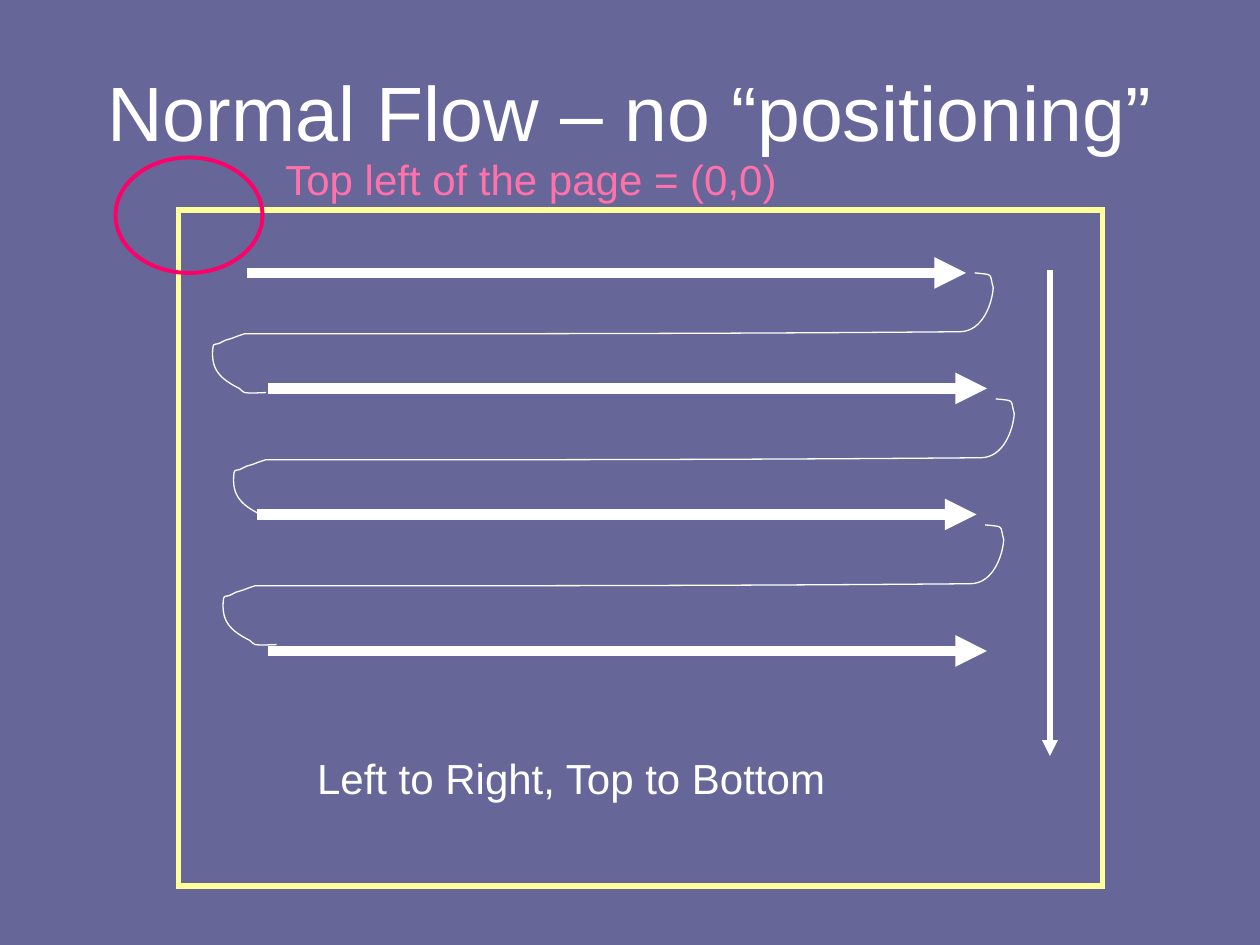
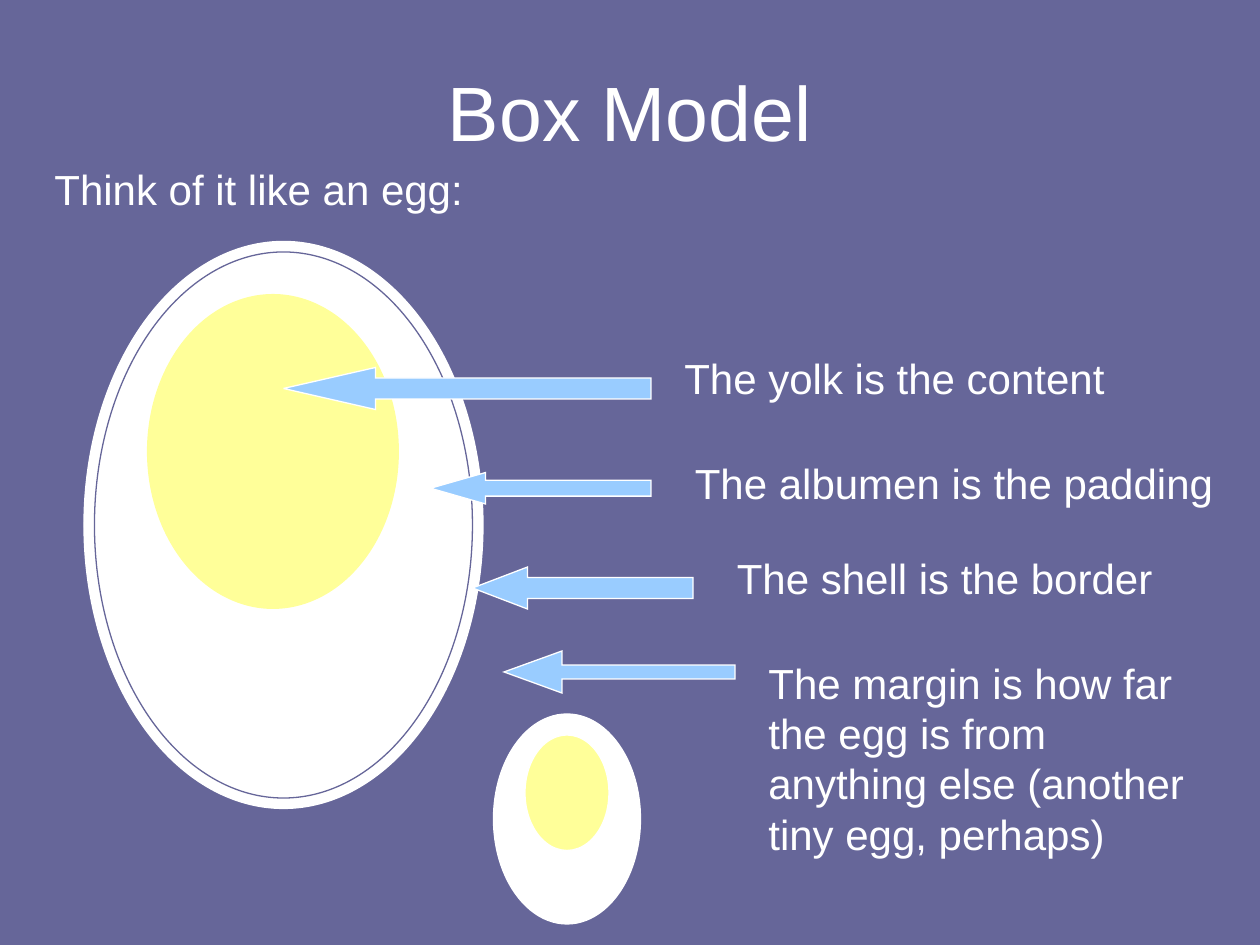
from dataclasses import dataclass
from typing import Any, Optional

from lxml.etree import SubElement
from pptx import Presentation
from pptx.dml.color import RGBColor
from pptx.enum.shapes import MSO_CONNECTOR as Link, MSO_SHAPE as Preset
from pptx.enum.text import MSO_ANCHOR as Anchor, MSO_AUTO_SIZE as Fit, PP_ALIGN as Align
from pptx.oxml.ns import qn
from pptx.util import Emu, Pt

EMU_PER_PX = 7620

SLATE, WHITE, YOLK = "666699", "FFFFFF", "FFFF99"
SKY, CRIMSON, PINK = "99CCFF", "FE0067", "FF71AA"

HAIRLINE = 0.75
TITLE_ONLY = 5


@dataclass(frozen=True)
class Box:
    left: int
    top: int
    width: int
    height: int


@dataclass(frozen=True)
class Figure:
    box: Box
    preset: Any = Preset.OVAL
    fill: Optional[str] = None
    outline: Optional[str] = WHITE
    weight: float = HAIRLINE
    adjustments: tuple[float, ...] = ()


@dataclass(frozen=True)
class Caption:
    text: str
    box: Box
    color: str = WHITE


@dataclass(frozen=True)
class Arrow:
    start: tuple[int, int]
    end: tuple[int, int]
    weight: float


TITLE_BOX = Box(90, 30, 1020, 150)
INSETS = dict(margin_left=12, margin_right=12, margin_top=6, margin_bottom=6)

PAGE = Figure(Box(170, 200, 880, 644), Preset.RECTANGLE, outline=YOLK, weight=3)
PAGE_INSETS = INSETS | dict(margin_left=132, margin_bottom=79)
ORIGIN_RING = Figure(Box(110, 150, 140, 110), outline=CRIMSON, weight=2.25)
ORIGIN_NOTE = Caption("Top left of the page = (0,0)", Box(260, 140, 720, 60), PINK)

READING_WIDTH = 680
READING_STARTS = [(240, 260), (250, 490), (260, 620), (260, 370)]
PAGE_DESCENT = Arrow((1000, 260), (1000, 720), 3)

RETURN_ORIGINS = [(220, 380), (210, 500), (200, 260)]
RETURN_START = (729, 0)
RETURN_CURVES = [
    ((747, 2), (742, 0), (746, 14)),
    ((745, 29), (736, 56), (714, 56)),
    ((487, 58), (260, 58), (33, 58)),
    ((20, 62), (26, 61), (15, 64)),
    ((13, 65), (11, 66), (9, 67)),
    ((8, 68), (3, 67), (3, 70)),
    ((0, 92), (10, 101), (28, 110)),
    ((30, 111), (31, 114), (33, 114)),
    ((40, 115), (46, 114), (53, 114)),
]

EGG = [
    Figure(Box(80, 230, 380, 540), fill=WHITE),
    Figure(Box(90, 240, 360, 520), outline=SLATE),
    Figure(Box(140, 280, 240, 300), fill=YOLK, outline=None),
]
TINY_EGG = [
    Figure(Box(470, 680, 140, 200), fill=WHITE),
    Figure(Box(500, 700, 80, 110), fill=YOLK),
]
POINTERS = [
    (Box(270, 350, 350, 40), (0.5, 2.19)),
    (Box(410, 450, 210, 30), (0.5, 1.75)),
    (Box(450, 540, 210, 40), (0.5, 1.31)),
    (Box(480, 620, 220, 40), (0.33, 1.38)),
]
INTRO = Caption("Think of it like an egg:", Box(40, 150, 1120, 60))
EGG_CAPTIONS = [
    Caption("The yolk is the content", Box(640, 330, 480, 60)),
    Caption("The albumen is the padding", Box(650, 430, 550, 60)),
    Caption("The shell is the border", Box(690, 520, 480, 60)),
    Caption(
        "The margin is how far the egg is from anything else (another tiny egg, perhaps)",
        Box(720, 620, 440, 204),
    ),
]


def px(length: float) -> Emu:
    return Emu(round(length * EMU_PER_PX))


def rgb(color: str) -> RGBColor:
    return RGBColor.from_string(color)


def area(box: Box) -> tuple[Emu, ...]:
    return px(box.left), px(box.top), px(box.width), px(box.height)


def apply(target: Any, values: dict[str, Any]) -> None:
    for name, value in values.items():
        setattr(target, name, value)


def write(frame: Any, text: str, size: int, color: str, align: Any = Align.LEFT,
          anchor: Any = Anchor.TOP, fit: Any = Fit.NONE,
          insets: dict[str, int] = INSETS) -> None:
    frame.text = text
    apply(frame, {name: px(inset) for name, inset in insets.items()})
    apply(frame, dict(word_wrap=True, vertical_anchor=anchor, auto_size=fit))
    paragraph = frame.paragraphs[0]
    paragraph.alignment = align
    font = paragraph.runs[0].font
    apply(font, dict(name="Arial", size=Pt(size), bold=False))
    font.color.rgb = rgb(color)


def paint_line(shape: Any, color: str, weight: float) -> Any:
    shape.line.color.rgb = rgb(color)
    shape.line.width = Pt(weight)
    stroke = shape._element.spPr.find(qn("a:ln"))
    stroke.set("cap", "sq")
    SubElement(stroke, qn("a:miter"), lim="800000")
    return stroke


def draw_figure(slide: Any, figure: Figure) -> Any:
    shape = slide.shapes.add_shape(figure.preset, *area(figure.box))
    shape.shadow.inherit = False
    for index, value in enumerate(figure.adjustments):
        shape.adjustments[index] = value
    if figure.fill:
        shape.fill.solid()
        shape.fill.fore_color.rgb = rgb(figure.fill)
    else:
        shape.fill.background()
    if figure.outline:
        paint_line(shape, figure.outline, figure.weight)
    else:
        shape.line.fill.background()
    return shape


def draw_caption(slide: Any, caption: Caption) -> None:
    frame = slide.shapes.add_textbox(*area(caption.box)).text_frame
    write(frame, caption.text, 24, caption.color, fit=Fit.SHAPE_TO_FIT_TEXT)


def draw_arrow(slide: Any, arrow: Arrow) -> None:
    ends = [px(length) for length in (*arrow.start, *arrow.end)]
    connector = slide.shapes.add_connector(Link.STRAIGHT, *ends)
    stroke = paint_line(connector, WHITE, arrow.weight)
    SubElement(stroke, qn("a:tailEnd"), type="triangle")
    SubElement(connector._element.spPr, qn("a:effectLst"))


def bend_segments(shape: Any) -> None:
    outline = next(shape._element.iter(qn("a:path")))
    segments = outline.findall(qn("a:lnTo"))
    for first in range(0, len(segments), 3):
        curve = SubElement(outline, qn("a:cubicBezTo"))
        for segment in segments[first:first + 3]:
            curve.append(segment[0])
            outline.remove(segment)


def draw_return(slide: Any, origin: tuple[int, int]) -> None:
    left, top = origin
    knots = [RETURN_START] + [knot for curve in RETURN_CURVES for knot in curve]
    start, *rest = [(px(left + x), px(top + y)) for x, y in knots]
    builder = slide.shapes.build_freeform(*start, scale=1.0)
    builder.add_line_segments(rest, close=False)
    sweep = builder.convert_to_shape()
    bend_segments(sweep)
    sweep.shadow.inherit = False
    sweep.fill.background()
    paint_line(sweep, WHITE, HAIRLINE)


def add_titled_slide(deck: Any, heading: str) -> Any:
    slide = deck.slides.add_slide(deck.slide_layouts[TITLE_ONLY])
    title = slide.shapes.title
    apply(title, dict(zip(("left", "top", "width", "height"), area(TITLE_BOX))))
    write(title.text_frame, heading, 44, WHITE, Align.CENTER, Anchor.MIDDLE)
    return slide


def build_normal_flow(deck: Any) -> None:
    slide = add_titled_slide(deck, "Normal Flow – no “positioning”")
    page = draw_figure(slide, PAGE)
    write(page.text_frame, "Left to Right, Top to Bottom", 24, WHITE,
          anchor=Anchor.BOTTOM, insets=PAGE_INSETS)
    reading = [Arrow((left, top), (left + READING_WIDTH, top), 6)
               for left, top in READING_STARTS]
    for arrow in [reading[0], PAGE_DESCENT, *reading[1:]]:
        draw_arrow(slide, arrow)
    for origin in RETURN_ORIGINS:
        draw_return(slide, origin)
    draw_figure(slide, ORIGIN_RING)
    draw_caption(slide, ORIGIN_NOTE)


def build_box_model(deck: Any) -> None:
    slide = add_titled_slide(deck, "Box Model")
    draw_caption(slide, INTRO)
    pointers = [Figure(box, Preset.LEFT_ARROW, SKY, adjustments=ratios)
                for box, ratios in POINTERS]
    for figure in EGG + pointers:
        draw_figure(slide, figure)
    for caption in EGG_CAPTIONS:
        draw_caption(slide, caption)
    for figure in TINY_EGG:
        draw_figure(slide, figure)


def main() -> None:
    deck = Presentation()
    apply(deck, dict(slide_width=px(1200), slide_height=px(900)))
    backdrop = deck.slide_master.background.fill
    backdrop.solid()
    backdrop.fore_color.rgb = rgb(SLATE)
    build_normal_flow(deck)
    build_box_model(deck)
    deck.save("out.pptx")


if __name__ == "__main__":
    main()
